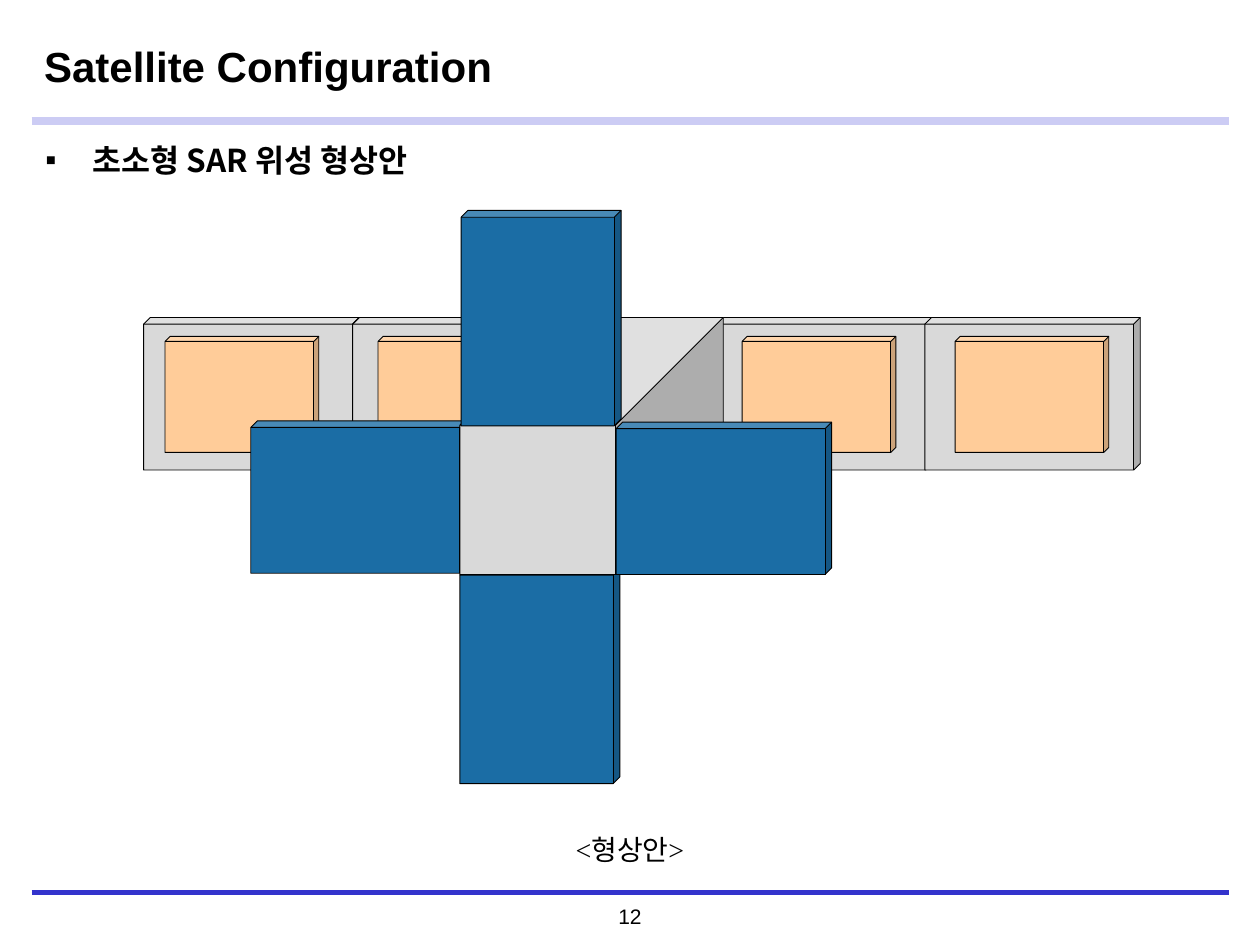
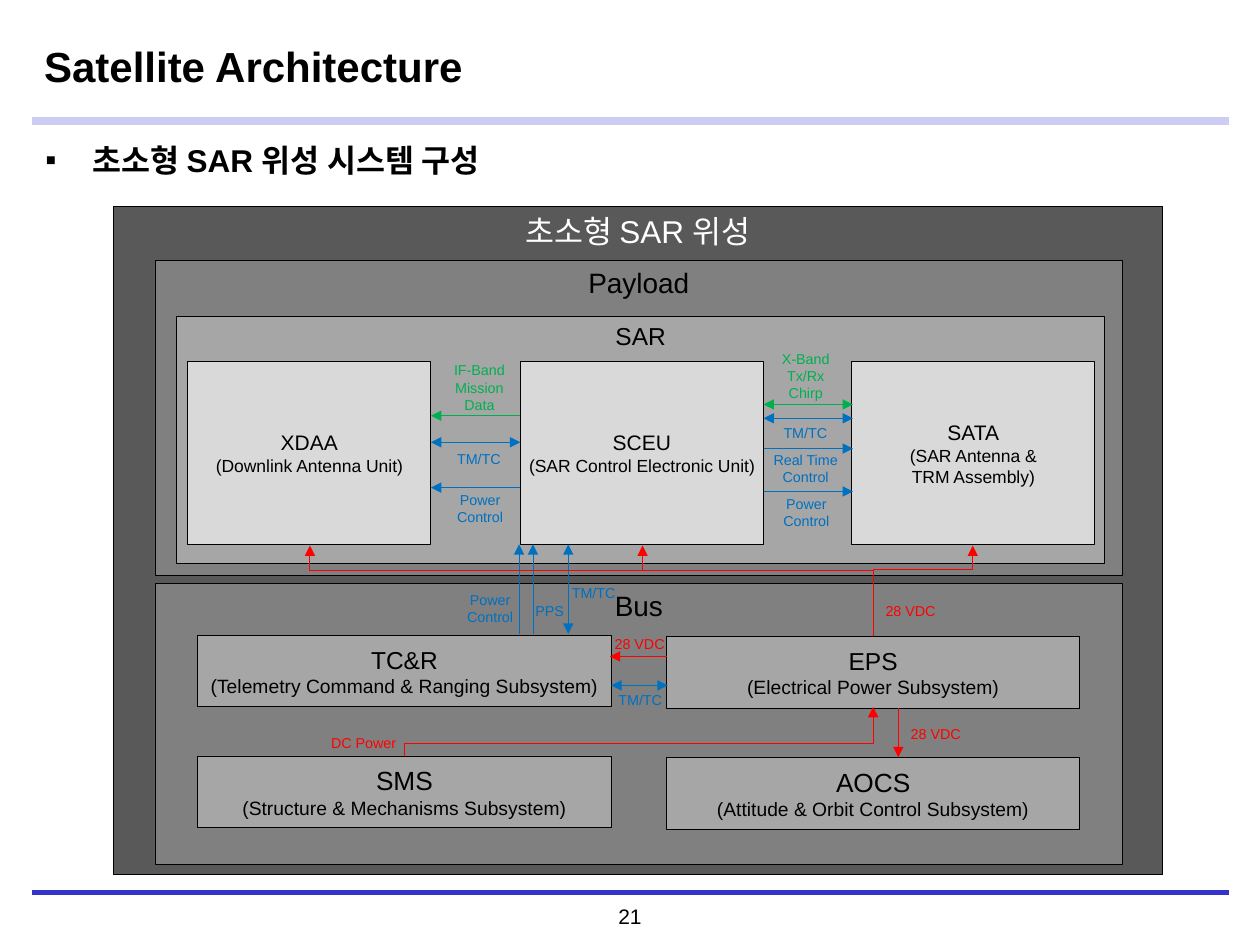
from lxml import etree
from pptx import Presentation
from pptx.dml.color import RGBColor
from pptx.enum import shapes, text
from pptx.oxml import ns
from pptx.util import Inches, Pt

COLORS = {
    "black": "000000", "white": "FFFFFF", "red": "FF0000",
    "blue": "0070C0", "green": "00B050",
    "header": "CCCCF4", "footer": "3333CC",
    "outer": "595959", "section": "808080", "unit": "A6A6A6", "module": "D9D9D9",
    "cell": "FFCC99", "wing": "1B6DA5",
}
SANS, KOREAN, SERIF = "Arial", "Noto Sans CJK KR", "Times New Roman"
CENTER, LEFT = text.PP_ALIGN.CENTER, text.PP_ALIGN.LEFT
TOP, MIDDLE = text.MSO_ANCHOR.TOP, text.MSO_ANCHOR.MIDDLE
GROW, FIXED = text.MSO_AUTO_SIZE.SHAPE_TO_FIT_TEXT, text.MSO_AUTO_SIZE.NONE
LABEL_SIZE = 8.2


def rgb(name):
    return RGBColor.from_string(COLORS[name])


def inches(values):
    return [Inches(value) for value in values]


def apply(target, values):
    for name, value in values.items():
        setattr(target, name, value)


def add_xml(parent, tag, **attributes):
    return etree.SubElement(parent, ns.qn(tag), attributes)


class Deck:
    def __init__(self):
        self.prs = Presentation()
        apply(self.prs, {"slide_width": Inches(10), "slide_height": Inches(7.5)})

    def new_slide(self, title, topic, number, topic_font=SANS):
        self.slide = self.prs.slides.add_slide(self.prs.slide_layouts[1])
        for y in (7.09, 7.08):
            self.line((0.25, y), (9.75, y), "footer", 2)
        self.line((0.25, 0.96), (9.75, 0.96), "header", 4.5)
        self.label((4.19, 7.12, 1.62, 0.3), number, "black", 12, wrap=True)

        heading, body = self.slide.placeholders
        self.place(heading, (0.25, 0.14, 7.64, 0.77))
        self.set_text(heading, [(title, 24)], "black", LEFT, bold=True,
                      vertical_anchor=MIDDLE, auto_size=FIXED)
        self.place(body, (0.26, 1.07, 9.48, 5.74))
        self.set_text(body, [(topic, 18)], "black", LEFT, topic_font, bold=True,
                      vertical_anchor=TOP, auto_size=FIXED)
        props = body.text_frame.paragraphs[0]._p.get_or_add_pPr()
        apply(props, {"marL": Inches(0.21), "indent": Inches(-0.21)})
        add_xml(props, "a:buFont", typeface=SANS)
        add_xml(props, "a:buChar", char="▪")

    def place(self, shape, at):
        apply(shape, dict(zip(("left", "top", "width", "height"), inches(at))))

    def set_text(self, shape, lines, color, align=CENTER, font=SANS, bold=False, **frame_format):
        """Fill a shape with one paragraph per (words, size) pair."""
        frame = shape.text_frame
        apply(frame, frame_format)
        for index, (words, size) in enumerate(lines):
            paragraph = frame.add_paragraph() if index else frame.paragraphs[0]
            paragraph.alignment = align
            run = paragraph.add_run()
            run.text = words
            apply(run.font, {"name": font, "size": Pt(size), "bold": bold})
            run.font.color.rgb = rgb(color)
            add_xml(run._r.get_or_add_rPr(), "a:ea", typeface=KOREAN)

    def label(self, at, words, color, size=LABEL_SIZE, align=CENTER, wrap=False, font=SANS):
        box = self.slide.shapes.add_textbox(*inches(at))
        self.set_text(box, [(part, size) for part in words.split("\n")], color, align, font,
                      word_wrap=wrap, auto_size=GROW)

    def solid(self, kind, at, fill):
        shape = self.slide.shapes.add_shape(kind, *inches(at))
        shape.shadow.inherit = False
        shape.fill.solid()
        shape.fill.fore_color.rgb = rgb(fill)
        shape.line.color.rgb = rgb("black")
        shape.line.width = Pt(0.5)
        return shape

    def cube(self, at, fill, depth=0.043):
        self.solid(shapes.MSO_SHAPE.CUBE, at, fill).adjustments[0] = depth

    def block(self, at, fill, lines, color="black", anchor=MIDDLE):
        shape = self.solid(shapes.MSO_SHAPE.RECTANGLE, at, fill)
        self.set_text(shape, lines, color, vertical_anchor=anchor, word_wrap=False,
                      margin_left=Inches(0.07), margin_right=Inches(0.07),
                      margin_top=Inches(0.04), margin_bottom=Inches(0.04))

    def line(self, start, end, color, width=0.5, heads="", kind=shapes.MSO_CONNECTOR.STRAIGHT):
        """Draw a line; heads may hold "<" (arrow at start) and ">" (arrow at end)."""
        link = self.slide.shapes.add_connector(kind, *inches((*start, *end)))
        link.line.color.rgb = rgb(color)
        link.line.width = Pt(width)
        for mark, tag in (("<", "a:headEnd"), (">", "a:tailEnd")):
            if mark in heads:
                add_xml(link.line._get_or_add_ln(), tag, type="triangle")
        add_xml(link._element.spPr, "a:effectLst")
        return link

    def riser(self, start, end, bend_y, color):
        """Draw an elbow arrow that leaves upwards and turns at bend_y."""
        (x1, y1), (x2, y2) = start, end
        mid_x, mid_y = (x1 + x2) / 2, (y1 + y2) / 2
        half_w, half_h = (x2 - x1) / 2, (y1 - y2) / 2
        link = self.line((mid_x - half_h, mid_y - half_w), (mid_x + half_h, mid_y + half_w),
                         color, heads=">", kind=shapes.MSO_CONNECTOR.ELBOW)
        link.rotation = 270
        bend = round((y1 - bend_y) / (y1 - y2) * 100000)
        geometry = link._element.spPr.find(ns.qn("a:prstGeom"))
        add_xml(geometry.get_or_add_avLst(), "a:gd", name="adj1", fmla=f"val {bend}")


def configuration(deck):
    deck.new_slide("Satellite Configuration", "초소형 SAR 위성 형상안", "12", KOREAN)
    deck.label((3.82, 6.56, 2.36, 0.37), "<형상안>", "black", 16, wrap=True, font=SERIF)
    for x in (1.14, 2.8, 5.69, 7.34):
        deck.cube((x, 2.52, 1.71, 1.21), "module")
    for x in (1.31, 3, 5.89, 7.58):
        deck.cube((x, 2.67, 1.22, 0.92), "cell")
    deck.cube((3.65, 4.51, 1.27, 1.71), "wing")
    deck.cube((1.99, 3.34, 1.71, 1.21), "wing")
    deck.cube((3.65, 2.52, 2.09, 2.04), "module", 0.419)
    deck.cube((4.89, 3.35, 1.71, 1.21), "wing")
    deck.cube((3.66, 1.67, 1.27, 1.71), "wing")


def architecture(deck):
    deck.new_slide("Satellite Architecture", "초소형 SAR 위성 시스템 구성", "21")

    for at, fill, name, size, color in (
        ((0.9, 1.64, 8.33, 5.3), "outer", "초소형 SAR 위성", 18, "white"),
        ((1.23, 2.07, 7.68, 2.5), "section", "Payload", 16, "black"),
        ((1.4, 2.51, 7.37, 1.96), "unit", "SAR", 14, "black"),
        ((1.23, 4.63, 7.68, 2.23), "section", "Bus", 16, "black"),
    ):
        deck.block(at, fill, [(name, size)], color, TOP)

    for x, name, *details in (
        (1.49, "XDAA", "(Downlink Antenna Unit)"),
        (4.13, "SCEU", "(SAR Control Electronic Unit)"),
        (6.76, "SATA", "(SAR Antenna &", "TRM Assembly)"),
    ):
        deck.block((x, 2.87, 1.93, 1.45), "module",
                   [(name, 12)] + [(detail, 10) for detail in details])

    for x, y, name, size, detail in (
        (1.57, 5.04, "TC&R", 14, "(Telemetry Command & Ranging Subsystem)"),
        (5.29, 5.05, "EPS", 14, "(Electrical Power Subsystem)"),
        (1.57, 6, "SMS", 15, "(Structure & Mechanisms Subsystem)"),
        (5.29, 6.01, "AOCS", 15, "(Attitude & Orbit Control Subsystem)"),
    ):
        deck.block((x, y, 3.28, 0.57), "unit", [(name, size), (detail, 11)])

    for x1, x2, y, color, heads in (
        (3.42, 4.13, 3.3, "green", "<"),
        (3.42, 4.13, 3.51, "blue", "<>"),
        (3.42, 4.13, 3.87, "blue", "<"),
        (6.06, 6.77, 3.21, "green", "<>"),
        (6.06, 6.77, 3.32, "blue", "<>"),
        (6.06, 6.77, 3.56, "blue", ">"),
        (6.06, 6.77, 3.9, "blue", ">"),
        (4.84, 5.29, 5.21, "red", "<"),
        (4.85, 5.3, 5.44, "blue", "<>"),
    ):
        deck.line((x1, y), (x2, y), color, heads=heads)
    for x, heads in ((4.12, "<"), (4.23, "<"), (4.51, "<>")):
        deck.line((x, 4.32), (x, 5.03), "blue", heads=heads)
    deck.line((7.13, 6.01), (7.13, 5.62), "red", heads="<")

    for module_x, bend_y in ((2.46, 4.53), (5.1, 4.53), (7.72, 4.52)):
        deck.riser((6.93, 5.05), (module_x, 4.33), bend_y, "red")
    deck.riser((3.21, 6), (6.93, 5.61), 5.9, "red")

    for at, words, color in (
        ((3.5, 2.82, 0.61, 0.52), "IF-Band\nMission\nData", "green"),
        ((6.1, 2.73, 0.59, 0.52), "X-Band\nTx/Rx\nChirp", "green"),
        ((6.03, 3.53, 0.73, 0.38), "Real Time\nControl", "blue"),
        ((6.11, 3.88, 0.58, 0.38), "Power\nControl", "blue"),
        ((3.52, 3.85, 0.58, 0.38), "Power\nControl", "blue"),
    ):
        deck.label(at, words, color)
    deck.label((3.6, 4.64, 0.58, 0.38), "Power\nControl", "blue", wrap=True)
    for x, y in ((3.53, 3.52), (6.12, 3.32), (4.44, 4.59), (4.81, 5.44)):
        deck.label((x, y, 0.55, 0.24), "TM/TC", "blue", align=LEFT)
    for x, y, width, words, color in (
        (4.15, 4.73, 0.51, "PPS", "blue"),
        (6.93, 4.73, 0.77, "28 VDC", "red"),
        (7.13, 5.71, 0.77, "28 VDC", "red"),
        (4.78, 4.99, 0.77, "28 VDC", "red"),
        (2.53, 5.78, 0.77, "DC Power", "red"),
    ):
        deck.label((x, y, width, 0.24), words, color, align=LEFT, wrap=True)


def main():
    deck = Deck()
    configuration(deck)
    architecture(deck)
    deck.prs.save("out.pptx")


if __name__ == "__main__":
    main()
